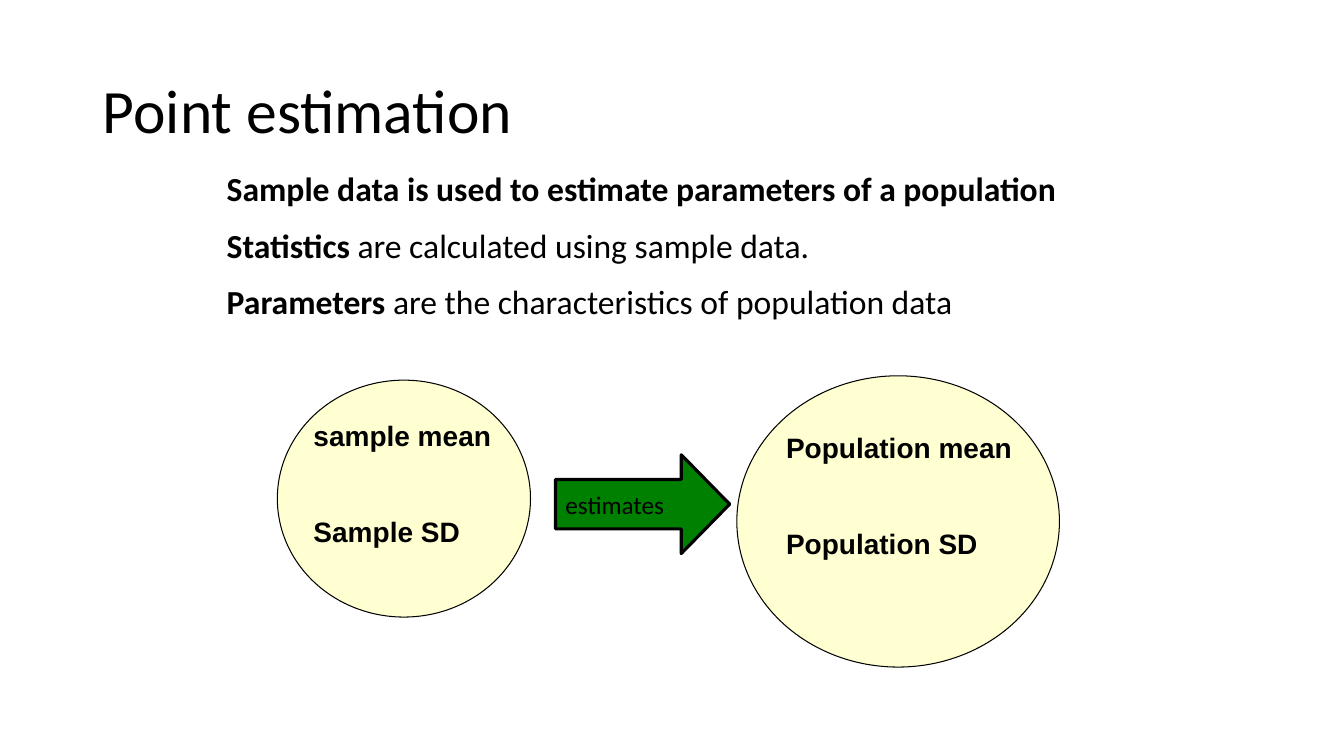
from pptx import Presentation
from pptx.dml.color import RGBColor
from pptx.enum.shapes import MSO_SHAPE
from pptx.enum.text import MSO_ANCHOR, MSO_AUTO_SIZE, PP_ALIGN
from pptx.oxml.ns import qn
from pptx.util import Cm, Pt
from lxml.etree import SubElement

COLORS = {"text": "000000", "outline": "000000", "circle": "FFFF00", "arrow": "008000"}
CIRCLE_OPACITY = 18
STATEMENTS = [
    ("Sample data is used to estimate parameters of a population", ""),
    ("Statistics", " are calculated using sample data."),
    ("Parameters", " are the characteristics of population data"),
]


def color(key):
    return RGBColor.from_string(COLORS[key])


def place(part, box):
    part.left, part.top, part.width, part.height = (Cm(length) for length in box)


def style(paragraph, font_name, size, bold=None):
    paragraph.alignment = PP_ALIGN.LEFT
    font = paragraph.font
    font.name, font.size, font.bold = font_name, Pt(size), bold
    font.color.rgb = color("text")


def add_outlined(slide, preset, box, fill, line_width):
    outlined = slide.shapes.add_shape(preset, *(Cm(length) for length in box))
    outlined.shadow.inherit = False
    outlined.fill.solid()
    outlined.fill.fore_color.rgb = color(fill)
    outlined.line.color.rgb = color("outline")
    outlined.line.width = Pt(line_width)
    return outlined


def add_title(slide, box, wording):
    title = slide.shapes.title
    place(title, box)
    frame = title.text_frame
    frame.text = wording
    frame.vertical_anchor = MSO_ANCHOR.MIDDLE
    frame.paragraphs[0].line_spacing = 0.9
    style(frame.paragraphs[0], "Calibri", 44)


def add_statements(slide, box):
    body = slide.placeholders[1]
    place(body, box)
    frame = body.text_frame
    frame.auto_size = MSO_AUTO_SIZE.NONE
    for i, (term, explanation) in enumerate(STATEMENTS):
        paragraph = frame.paragraphs[0] if i == 0 else frame.add_paragraph()
        properties = paragraph._p.get_or_add_pPr()
        properties.set("marL", "0")
        properties.set("indent", "0")
        SubElement(properties, qn("a:buNone"))
        paragraph.space_before = Pt(11.5 if i else 0)
        style(paragraph, "Calibri", 24)
        lead = paragraph.add_run()
        lead.text = term
        lead.font.bold = True
        if explanation:
            paragraph.add_run().text = explanation


def add_measures(slide, box, inset, text_size, measures):
    """Draw a translucent circle with its measures in a text box set in from its corner."""
    circle = add_outlined(slide, MSO_SHAPE.OVAL, box, "circle", 0.75)
    tint = circle.fill._xPr.find(qn("a:solidFill"))[0]
    SubElement(tint, qn("a:alpha"), val=str(CIRCLE_OPACITY * 1000))

    left, top = box[0] + inset[0], box[1] + inset[1]
    label = slide.shapes.add_textbox(Cm(left), Cm(top), *(Cm(size) for size in text_size))
    frame = label.text_frame
    frame.word_wrap = True
    frame.text = "\n".join(measures)
    for i, paragraph in enumerate(frame.paragraphs):
        paragraph.space_before = Pt(45 if i else 0)
        style(paragraph, "Arial", 20, True)


def add_estimates_arrow(slide, box):
    arrow = add_outlined(slide, MSO_SHAPE.RIGHT_ARROW, box, "arrow", 2.25)
    arrow.adjustments[0] = 0.5
    arrow.adjustments[1] = 0.49
    frame = arrow.text_frame
    frame.vertical_anchor = MSO_ANCHOR.MIDDLE
    frame.text = "estimates"
    style(frame.paragraphs[0], "Calibri", 18)


def main():
    deck = Presentation()
    deck.slide_width, deck.slide_height = Cm(33.87), Cm(19.05)
    slide = deck.slides.add_slide(deck.slide_layouts[1])
    add_title(slide, (2.34, 1.02, 29.21, 3.68), "Point estimation")
    add_statements(slide, (5.46, 4.11, 22.4, 4.37))
    add_measures(slide, (18.57, 9.47, 8.13, 7.34), (0.99, 1.25), (7.34, 3.68),
                 ["Population mean", "Population SD"])
    add_measures(slide, (6.99, 9.58, 6.38, 5.97), (0.66, 0.83), (5.49, 5.46),
                 ["sample mean", "Sample SD"])
    add_estimates_arrow(slide, (14, 11.46, 4.39, 2.49))
    deck.save("out.pptx")


if __name__ == "__main__":
    main()
